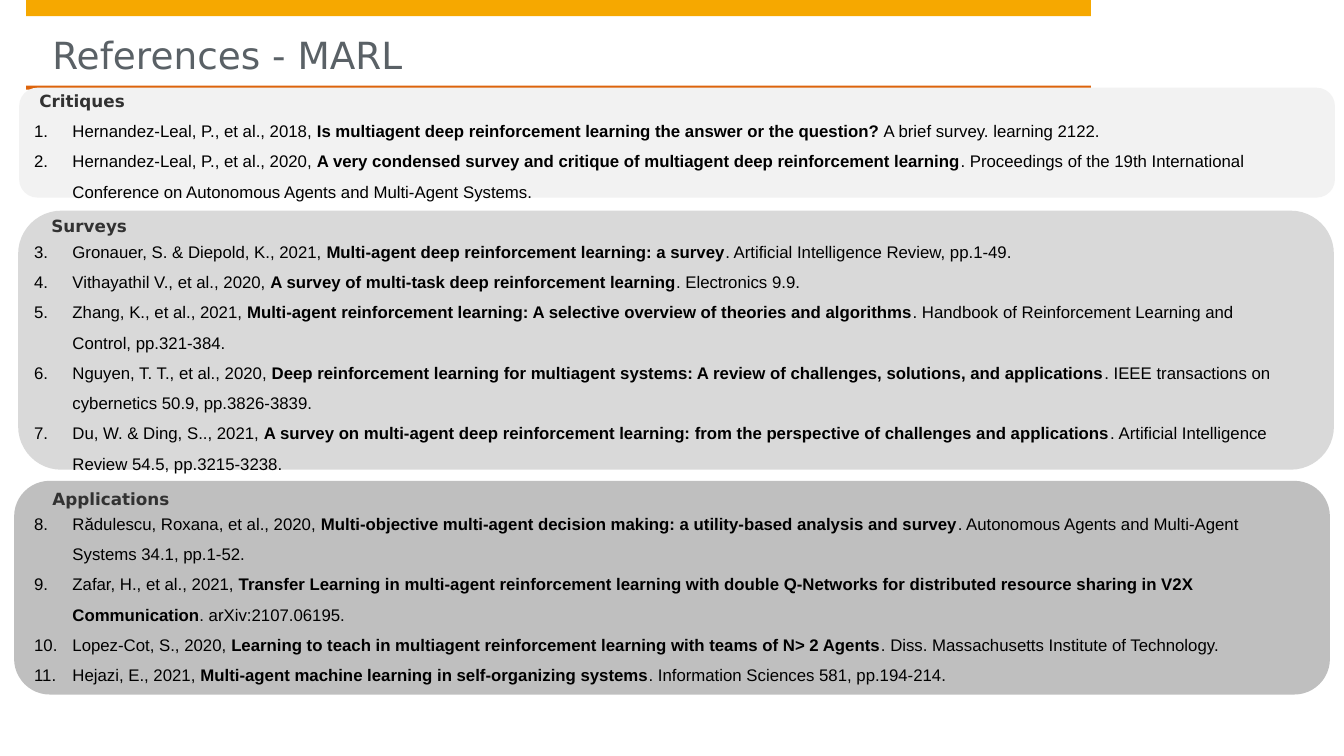
from lxml.etree import SubElement
from pptx import Presentation
from pptx.dml.color import RGBColor as Rgb
from pptx.enum.shapes import MSO_SHAPE as Kind
from pptx.enum.text import MSO_ANCHOR as Anchor
from pptx.oxml.ns import qn
from pptx.util import Emu, Pt

PX = 9144  # 100 px to the inch
COLORS = {
    "gold": "F6A800", "rust": "DD640C", "title": "5A6166", "label": "323232",
    "ink": "000000", "light": "F2F2F2", "mid": "D9D9D9", "dark": "BFBFBF",
}
BARS = [((26, 0, 1056, 16), "gold"), ((26, 85, 1056, 4), "rust")]
# panel box, panel colour, label box, label, references (source, title, rest)
GROUPS = [
    ((19, 87, 1305, 109), "light", (39, 90, 101, 33), "Critiques", [
        ("Hernandez-Leal, P., et al., 2018, ",
         "Is multiagent deep reinforcement learning the answer or the question?",
         " A brief survey. learning 2122."),
        ("Hernandez-Leal, P., et al., 2020, ",
         "A very condensed survey and critique of multiagent deep reinforcement learning",
         ". Proceedings of the 19th International Conference on Autonomous Agents "
         "and Multi-Agent Systems."),
    ]),
    ((18, 209, 1305, 257), "mid", (51, 214, 101, 33), "Surveys", [
        ("Gronauer, S. & Diepold, K., 2021, ",
         "Multi-agent deep reinforcement learning: a survey",
         ". Artificial Intelligence Review, pp.1-49."),
        ("Vithayathil V., et al., 2020, ",
         "A survey of multi-task deep reinforcement learning",
         ". Electronics 9.9."),
        ("Zhang, K., et al., 2021, ",
         "Multi-agent reinforcement learning: A selective overview of theories and algorithms",
         ". Handbook of Reinforcement Learning and Control, pp.321-384."),
        ("Nguyen, T. T., et al., 2020, ",
         "Deep reinforcement learning for multiagent systems: A review of challenges, "
         "solutions, and applications",
         ". IEEE transactions on cybernetics 50.9, pp.3826-3839."),
        ("Du, W. & Ding, S.., 2021, ",
         "A survey on multi-agent deep reinforcement learning: from the perspective of "
         "challenges and applications",
         ". Artificial Intelligence Review 54.5, pp.3215-3238."),
    ]),
    ((14, 477, 1305, 212), "dark", (52, 485, 152, 33), "Applications", [
        ("Rădulescu, Roxana, et al., 2020, ",
         "Multi-objective multi-agent decision making: a utility-based analysis and survey",
         ". Autonomous Agents and Multi-Agent Systems 34.1, pp.1-52."),
        ("Zafar, H., et al., 2021, ",
         "Transfer Learning in multi-agent reinforcement learning with double Q-Networks "
         "for distributed resource sharing in V2X Communication",
         ". arXiv:2107.06195."),
        ("Lopez-Cot, S., 2020, ",
         "Learning to teach in multiagent reinforcement learning with teams of N> 2 Agents",
         ". Diss. Massachusetts Institute of Technology."),
        ("Hejazi, E., 2021, ",
         "Multi-agent machine learning in self-organizing systems",
         ". Information Sciences 581, pp.194-214."),
    ]),
]


def scale(box):
    return [Emu(side * PX) for side in box]


def add_block(slide, kind, box, color):
    block = slide.shapes.add_shape(kind, *scale(box))
    block.shadow.inherit = False
    block.fill.solid()
    block.fill.fore_color.rgb = Rgb.from_string(COLORS[color])
    block.line.fill.background()


def add_frame(slide, box):
    frame = slide.shapes.add_textbox(*scale(box)).text_frame
    frame.word_wrap = True
    return frame


def set_font(para, face, size, color):
    para.font.name = face
    para.font.size = Pt(size)
    para.font.color.rgb = Rgb.from_string(COLORS[color])


def add_head(slide, box, text, size, color, bold=False, top=0):
    """Add a one-line heading without side insets."""
    frame = add_frame(slide, box)
    frame.margin_left = frame.margin_right = frame.margin_bottom = 0
    frame.margin_top = Emu(top * PX)
    frame.vertical_anchor = Anchor.MIDDLE if top else Anchor.TOP
    para = frame.paragraphs[0]
    para.text = text
    para.font.bold = bold
    set_font(para, "DejaVu Sans", size, color)


def set_number(para):
    """Give the paragraph a running number and a hanging indent."""
    props = para._p.get_or_add_pPr()
    props.set("marL", str(38 * PX))
    props.set("indent", str(-38 * PX))
    SubElement(props, qn("a:buFont"), typeface="+mj-lt")
    SubElement(props, qn("a:buAutoNum"), type="arabicPeriod")


def add_refs(slide, box):
    """Add one numbered list that runs on through all groups."""
    frame = add_frame(slide, box)
    para = frame.paragraphs[0]
    for group, (*_, refs) in enumerate(GROUPS):
        for item, parts in enumerate(refs):
            if group or item:
                para = frame.add_paragraph()
            para.line_spacing = 1.5
            if group and not item:
                para.space_before = Pt(21.5)
            set_number(para)
            set_font(para, "Arial", 12, "ink")
            for part, text in enumerate(parts):
                run = para.add_run()
                run.text = text
                run.font.bold = part == 1


def main():
    deck = Presentation()
    deck.slide_width, deck.slide_height = scale((1333, 750))
    slide = deck.slides.add_slide(deck.slide_layouts[6])
    for box, color in BARS:
        add_block(slide, Kind.RECTANGLE, box, color)
    add_head(slide, (52, 16, 1003, 61), "References - MARL", 26.7, "title", top=16)
    for box, color, *_ in GROUPS:
        add_block(slide, Kind.ROUNDED_RECTANGLE, box, color)
    add_refs(slide, (24, 105, 1271, 617))
    for _, _, box, label, _ in GROUPS:
        add_head(slide, box, label, 12, "label", bold=True)
    deck.save("out.pptx")


if __name__ == "__main__":
    main()
